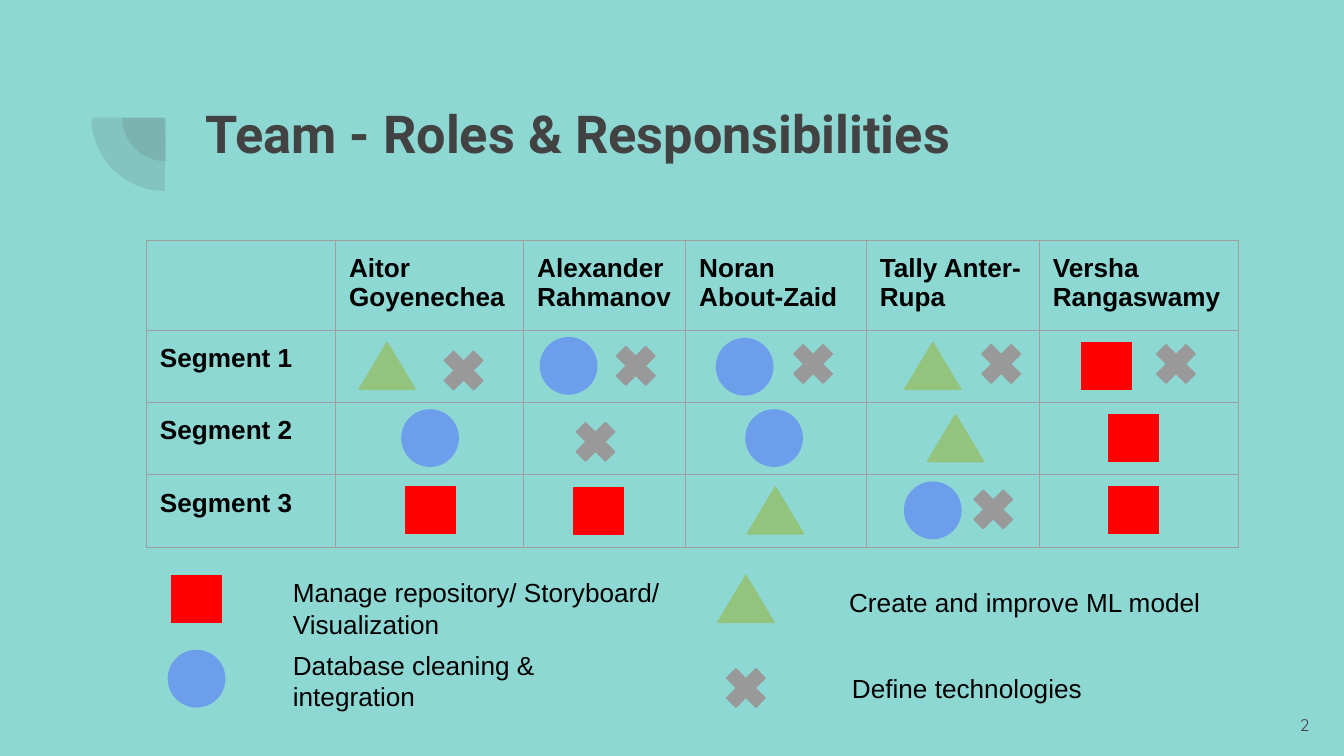
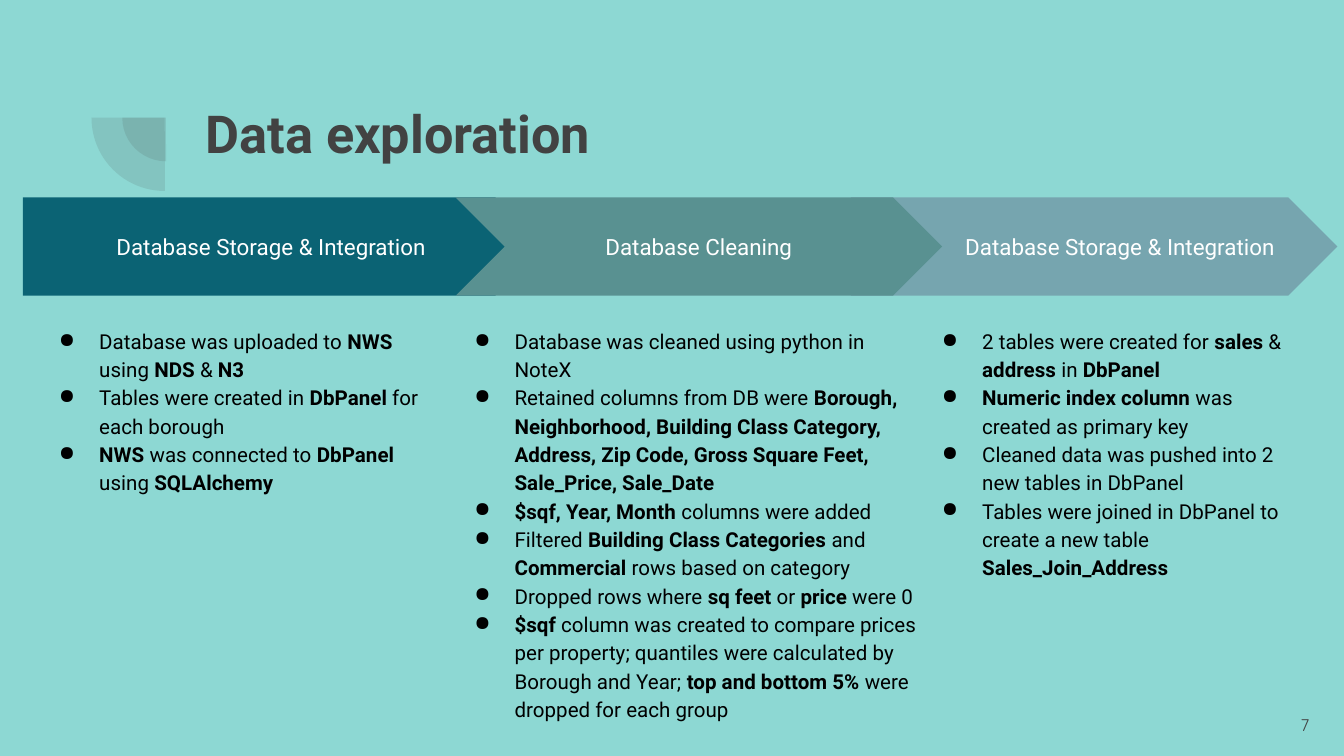
from dataclasses import dataclass
from lxml import etree
from pptx import Presentation
from pptx.dml.color import RGBColor
from pptx.enum.shapes import MSO_SHAPE
from pptx.enum.text import MSO_ANCHOR, PP_ALIGN
from pptx.oxml.ns import qn
from pptx.util import Pt

LEFT, MID, RIGHT = PP_ALIGN.LEFT, PP_ALIGN.CENTER, PP_ALIGN.RIGHT
TOP, CENTER = MSO_ANCHOR.TOP, MSO_ANCHOR.MIDDLE
ARROW, CHEVRON = MSO_SHAPE.PENTAGON, MSO_SHAPE.CHEVRON
PIE = MSO_SHAPE.PIE
SQUARE, CIRCLE = MSO_SHAPE.RECTANGLE, MSO_SHAPE.OVAL
PEAK, CROSS = MSO_SHAPE.ISOSCELES_TRIANGLE, MSO_SHAPE.MATH_MULTIPLY


@dataclass(frozen=True)
class Theme:
    back: str = "8DD8D3"
    dark: str = "424242"
    ink: str = "000000"
    light: str = "FFFFFF"
    grid: str = "9E9E9E"
    steps: tuple = ("0B6374", "599191", "76A5AF")
    head: str = "Roboto"
    plain: str = "Arial"
    foot: str = "Quicksand"
    title: float = 28
    body: float = 14
    label: float = 12
    list: float = 11
    page: float = 9
    inset: float = 7.2
    line: float = 0.75


# Role marks: width, height, colour
MARKS = {
    SQUARE: (26.6, 25.2, "FF0000"),
    CIRCLE: (30.2, 30.2, "6D9EEB"),
    PEAK: (30.2, 25.2, "93C47D"),
    CROSS: (30.2, 30.2, "999999"),
}


class Deck:
    def __init__(self, theme):
        self.theme = theme
        self.prs = Presentation()
        self.prs.slide_width, self.prs.slide_height = Pt(720), Pt(405)
        self.slide = None

    def page(self, title, number):
        """Start a slide with background, corner arcs, title and number."""
        t = self.theme
        self.slide = self.prs.slides.add_slide(self.prs.slide_layouts[6])
        fill = self.slide.background.fill
        fill.solid()
        fill.fore_color.rgb = RGBColor.from_string(t.back)
        for x, y, size in ((65.5, 39.6, 46.8), (49, 23.8, 78.5)):
            arc = self.shape(PIE, x, y, size, size, t.dark)
            arc.rotation = 270
            arc.adjustments[0], arc.adjustments[1] = 107.93, 162
            tint = arc._element.spPr.find(".//" + qn("a:srgbClr"))
            etree.SubElement(tint, qn("a:alpha"), val="13000")
        self.text(title, 103, 46.8, 553.7, 78.5, t.title, t.head, t.dark, bold=True)
        self.text(str(number), 665.3, 373, 43.2, 31, t.page, t.foot, t.dark,
                  align=RIGHT, anchor=CENTER)

    def font(self, run, size, face, color, bold=False):
        run.font.size, run.font.name, run.font.bold = Pt(size), face, bold
        run.font.color.rgb = RGBColor.from_string(color)

    def frame(self, frame, anchor=TOP):
        gap = Pt(self.theme.inset)
        frame.margin_left = frame.margin_right = gap
        frame.margin_top = frame.margin_bottom = gap
        frame.word_wrap, frame.vertical_anchor = True, anchor

    def put(self, frame, words, size, face, color, bold=False, align=LEFT):
        frame.text = words
        para = frame.paragraphs[0]
        para.alignment = align
        for run in para.runs:
            self.font(run, size, face, color, bold)

    def box(self, x, y, w, h, anchor=TOP):
        box = self.slide.shapes.add_textbox(Pt(x), Pt(y), Pt(w), Pt(h))
        self.frame(box.text_frame, anchor)
        return box.text_frame

    def text(self, words, x, y, w, h, size, face, color,
             bold=False, align=LEFT, anchor=TOP):
        self.put(self.box(x, y, w, h, anchor), words, size, face, color, bold, align)

    def shape(self, kind, x, y, w, h, color, edge=False):
        shape = self.slide.shapes.add_shape(kind, Pt(x), Pt(y), Pt(w), Pt(h))
        shape.shadow.inherit = False
        shape.fill.solid()
        shape.fill.fore_color.rgb = RGBColor.from_string(color)
        if edge:
            shape.line.color.rgb = RGBColor.from_string(color)
            shape.line.width = Pt(self.theme.line)
        else:
            shape.line.fill.background()
        return shape

    def mark(self, kind, x, y):
        """Draw a role mark centred on x, y."""
        w, h, color = MARKS[kind]
        self.shape(kind, x - w / 2, y - h / 2, w, h, color, edge=True)

    def step(self, kind, words, x, w, color, align):
        t = self.theme
        shape = self.shape(kind, x, 105.8, w, 52.6, color)
        self.frame(shape.text_frame, CENTER)
        self.put(shape.text_frame, words, t.label, t.head, t.light, align=align)

    def bullets(self, items, x, w):
        """List of bullets; words between asterisks are bold."""
        t = self.theme
        frame = self.box(x, 167, w, 206)
        for i, item in enumerate(items):
            para = frame.add_paragraph() if i else frame.paragraphs[0]
            para.line_spacing = 1.15
            props = para._p.get_or_add_pPr()
            props.set("marL", str(Pt(21.6)))
            props.set("indent", str(-Pt(23.8)))
            tint = etree.SubElement(props, qn("a:buClr"))
            etree.SubElement(tint, qn("a:srgbClr"), val=t.ink)
            etree.SubElement(props, qn("a:buChar"), char="●")
            for j, part in enumerate(item.split("*")):
                if part:
                    run = para.add_run()
                    run.text = part
                    self.font(run, t.list, t.head, t.ink, j % 2 == 1)

    def border(self, cell):
        props = cell._tc.get_or_add_tcPr()
        for i, side in enumerate(("lnL", "lnR", "lnT", "lnB")):
            line = etree.Element(qn("a:" + side), w=str(Pt(self.theme.line)))
            fill = etree.SubElement(line, qn("a:solidFill"))
            etree.SubElement(fill, qn("a:srgbClr"), val=self.theme.grid)
            props.insert(i, line)

    def table(self, rows, x, y, widths, heights):
        t = self.theme
        table = self.slide.shapes.add_table(
            len(heights), len(widths), Pt(x), Pt(y),
            Pt(sum(widths)), Pt(sum(heights))).table
        table.first_row = table.horz_banding = False
        for col, w in zip(table.columns, widths):
            col.width = Pt(w)
        for row, h, words in zip(table.rows, heights, rows):
            row.height = Pt(h)
            for i, cell in enumerate(row.cells):
                cell.fill.background()
                self.border(cell)
                gap = Pt(t.inset)
                cell.margin_left = cell.margin_right = gap
                cell.margin_top = cell.margin_bottom = gap
                if i < len(words) and words[i]:
                    self.put(cell.text_frame, words[i], t.body, t.plain, t.ink, True)


theme = Theme()
deck = Deck(theme)

# Slide 1: who does what in each segment
deck.page("Team - Roles & Responsibilities", 2)
names = ["", "Aitor Goyenechea", "Alexander Rahmanov", "Noran About-Zaid",
         "Tally Anter-Rupa", "Versha Rangaswamy"]
deck.table([names] + [[f"Segment {n}"] for n in (1, 2, 3)], 78.5, 128.8,
           (101.3, 100.8, 86.8, 96.8, 92.7, 106.6), (46, 38.8, 38.8, 38.8))

# Marks by segment: kind, centre, and shift from the row's middle
roles = (
    ((PEAK, 207.4, 0), (CROSS, 248.4, 2.5), (CIRCLE, 304.6, 0), (CROSS, 340.6, 0),
     (CIRCLE, 398.9, 0.5), (CROSS, 435.6, -1), (PEAK, 499.7, 0), (CROSS, 536.4, -1),
     (SQUARE, 592.9, 0), (CROSS, 630, -1)),
    ((CIRCLE, 230.4, 0), (CROSS, 319, 2), (CIRCLE, 414.7, 0), (PEAK, 511.9, 0),
     (SQUARE, 607.3, 0)),
    ((SQUARE, 230.8, 0), (SQUARE, 320.8, 0.5), (PEAK, 415.4, 0), (CIRCLE, 499.7, 0),
     (CROSS, 532.1, -0.5), (SQUARE, 607.3, 0)),
)
for i, row in enumerate(roles):
    for kind, x, shift in row:
        deck.mark(kind, x, 196 + 38.7 * i + shift)

# Legend: mark centre, then text box
legend = (
    (SQUARE, 105.3, 320.8, "Manage repository/ Storyboard/ Visualization",
     149.8, 301.7, 223.2, 48.2),
    (CIRCLE, 105.3, 363.6, "Database cleaning & integration",
     149.8, 340.6, 200.9, 48.2),
    (PEAK, 399.6, 320.8, "Create and improve ML model", 447.8, 306.7, 215.3, 31.7),
    (CROSS, 399.6, 368.6, "Define technologies", 449.3, 352.8, 143.3, 31.7),
)
for kind, cx, cy, words, x, y, w, h in legend:
    deck.mark(kind, cx, cy)
    deck.text(words, x, y, w, h, theme.body, theme.plain, theme.ink)

# Slide 2: three steps with their details
deck.page("Data exploration", 7)
store = "Database Storage & Integration"
first, second, third = theme.steps
deck.step(CHEVRON, store, 455.8, 260.6, third, RIGHT)
deck.step(ARROW, store, 12.2, 279.4, first, MID)
deck.step(CHEVRON, "Database Cleaning", 244.1, 260.6, second, MID)

deck.bullets((
    "Database was uploaded to *NWS* using *NDS* & *N3*",
    "Tables were created in *DbPanel* for each borough",
    "*NWS* was connected to *DbPanel* using *SQLAlchemy*",
), 24.5, 218.9)
deck.bullets((
    "Database was cleaned using python in NoteX",
    "Retained columns from DB were *Borough, Neighborhood, Building Class "
    "Category, Address, Zip Code, Gross Square Feet, Sale_Price, Sale_Date*",
    "*$sqf, Year, Month* columns were added",
    "Filtered *Building Class Categories* and *Commercial* rows based on category",
    "Dropped rows where *sq feet* or *price* were 0",
    "*$sqf* column was created to compare prices per property; quantiles were "
    "calculated by Borough and Year; *top and bottom 5%* were dropped for each group",
), 247, 254.2)
deck.bullets((
    "2 tables were created for *sales* & *address *in *DbPanel*",
    "*Numeric index column* was created as primary key",
    "Cleaned data was pushed into 2 new tables in DbPanel",
    "Tables were joined in DbPanel to create a new table *Sales_Join_Address*",
), 497.5, 206.6)

deck.prs.save("out.pptx")
